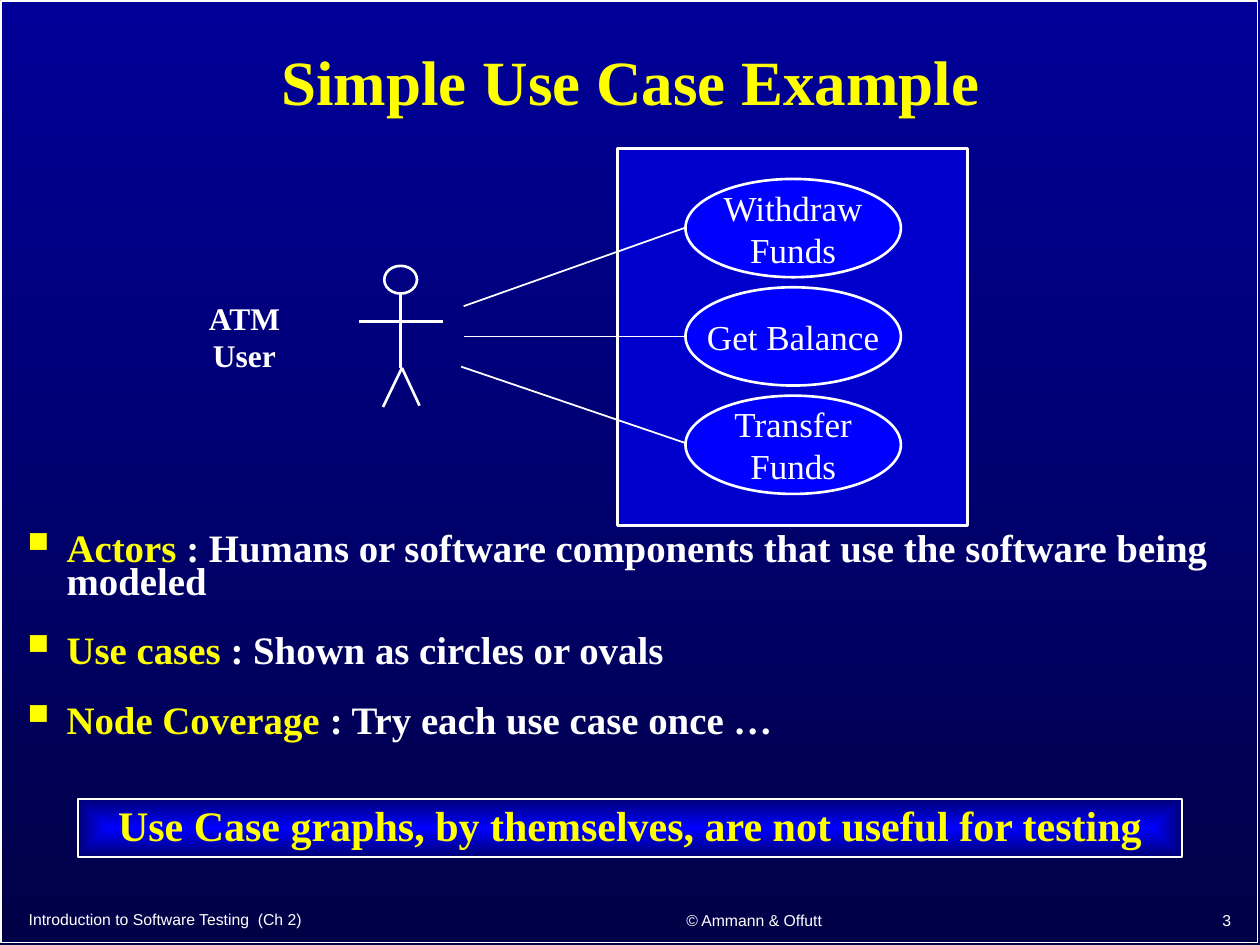
import pptx
import pptx.util
import pptx.dml.color
import pptx.enum.shapes
import pptx.enum.text
import pptx.oxml
import pptx.oxml.ns
import lxml.etree

Inches = pptx.util.Inches
Pt = pptx.util.Pt
SHAPE = pptx.enum.shapes.MSO_SHAPE
ALIGN = pptx.enum.text.PP_ALIGN
MIDDLE = pptx.enum.text.MSO_ANCHOR.MIDDLE
qn = pptx.oxml.ns.qn
WHITE, YELLOW = "FFFFFF", "FFFF00"
SERIF = "Times New Roman"


def color(value):
    return pptx.dml.color.RGBColor.from_string(value)


def add_run(paragraph, text, size, value, bold=False, font=SERIF):
    run = paragraph.add_run()
    run.text = text
    run.font.size = Pt(size)
    run.font.name = font
    run.font.bold = bold
    run.font.color.rgb = color(value)


deck = pptx.Presentation()
deck.slide_width = Inches(10)
deck.slide_height = Inches(7.5)
slide = deck.slides.add_slide(deck.slide_layouts[6])
shapes = slide.shapes

# Background, dark towards the bottom
backdrop = slide.background.fill
backdrop.gradient()
backdrop.gradient_angle = 270
for stop, value in zip(backdrop.gradient_stops, ("000099", "000047")):
    stop.color.rgb = color(value)
backdrop.gradient_stops[0].position = 0
backdrop.gradient_stops[1].position = 1

# Outlined shapes: slide frame, system boundary, actor's head, use cases, banner
outlined = []
for kind, left, top, width, height, fill, weight in [
    (SHAPE.RECTANGLE, 0.01, 0.01, 9.97, 7.47, None, 1),
    (SHAPE.RECTANGLE, 4.9, 1.18, 2.78, 2.99, "0000CC", 1.5),
    (SHAPE.OVAL, 3.05, 2.11, 0.26, 0.22, None, 1.5),
    *[(SHAPE.OVAL, 5.44, 1.42 + 0.86 * i, 1.71, 0.78, "0000FF", 1.5)
      for i in range(3)],
    (SHAPE.RECTANGLE, 0.62, 6.34, 8.76, 0.46, None, 1),
]:
    shape = shapes.add_shape(kind, Inches(left), Inches(top),
                             Inches(width), Inches(height))
    shape.shadow.inherit = False
    if fill:
        shape.fill.solid()
        shape.fill.fore_color.rgb = color(fill)
    else:
        shape.fill.background()
    shape.line.color.rgb = color(WHITE)
    shape.line.width = Pt(weight)
    outlined.append(shape)
use_cases = outlined[3:6]
banner = outlined[6]

# Use case names
for use_case, words in zip(use_cases, (["Withdraw", "Funds"], ["Get Balance"],
                                       ["Transfer", "Funds"])):
    frame = use_case.text_frame
    frame.word_wrap = False
    frame.vertical_anchor = MIDDLE
    frame.margin_top = frame.margin_bottom = 0
    for i, word in enumerate(words):
        paragraph = frame.add_paragraph() if i else frame.paragraphs[0]
        paragraph.alignment = ALIGN.CENTER
        add_run(paragraph, word, 20, WHITE)

# Actor's limbs, then the links to the use cases
for x1, y1, x2, y2, weight in [
    (2.85, 2.55, 3.52, 2.55, 1.5),
    (3.18, 2.33, 3.18, 2.92, 1.5),
    (3.19, 2.92, 3.04, 3.23, 1.5),
    (3.19, 2.92, 3.33, 3.22, 1.5),
    (5.43, 1.81, 3.68, 2.43, 1),
    (5.44, 2.67, 3.68, 2.67, 1),
    (5.45, 3.52, 3.66, 2.91, 1),
]:
    line = shapes.add_connector(pptx.enum.shapes.MSO_CONNECTOR.STRAIGHT,
                                Inches(x1), Inches(y1), Inches(x2), Inches(y2))
    line.line.color.rgb = color(WHITE)
    line.line.width = Pt(weight)
    lxml.etree.SubElement(line._element.spPr, qn("a:effectLst"))

# Title, actor's name and footer
for left, top, width, height, words, size, value, bold, font, align, wrap in [
    (0.12, 0.12, 9.77, 1.03, ["Simple Use Case Example"], 36, YELLOW, True,
     SERIF, ALIGN.CENTER, True),
    (1.55, 2.32, 0.78, 0.7, ["ATM", "User"], 18, WHITE, True,
     SERIF, ALIGN.CENTER, True),
    (0.13, 7.16, 4.13, 0.27, ["Introduction to Software Testing  (Ch 2)"], 9,
     WHITE, False, "Arial", ALIGN.LEFT, False),
    (4.4, 7.16, 3.17, 0.28, ["© Ammann & Offutt"], 9, WHITE, False,
     "Arial", ALIGN.CENTER, False),
    (7.79, 7.17, 2.08, 0.27, ["3"], 9, WHITE, False,
     "Arial", ALIGN.RIGHT, False),
]:
    label = shapes.add_textbox(Inches(left), Inches(top),
                               Inches(width), Inches(height))
    frame = label.text_frame
    frame.word_wrap = wrap
    frame.vertical_anchor = MIDDLE
    for i, word in enumerate(words):
        paragraph = frame.add_paragraph() if i else frame.paragraphs[0]
        paragraph.alignment = align
        add_run(paragraph, word, size, value, bold, font)

# Definitions
definitions = shapes.add_textbox(Inches(0.12), Inches(4.21),
                                 Inches(9.75), Inches(1.7)).text_frame
definitions.word_wrap = True
for i, (term, meaning) in enumerate([
    ("Actors", "Humans or software components that use the software being modeled"),
    ("Use cases", "Shown as circles or ovals"),
    ("Node Coverage", "Try each use case once …"),
]):
    paragraph = definitions.add_paragraph() if i else definitions.paragraphs[0]
    paragraph.line_spacing = 0.7
    paragraph.space_before = Pt(9 if i else 0)
    paragraph.space_after = Pt(12)
    properties = paragraph._p.get_or_add_pPr()
    properties.set("marL", str(Inches(0.31)))
    properties.set("indent", str(Inches(-0.31)))
    bullet_color = lxml.etree.SubElement(properties, qn("a:buClr"))
    lxml.etree.SubElement(bullet_color, qn("a:srgbClr"), val=YELLOW)
    lxml.etree.SubElement(properties, qn("a:buSzPct"), val="75000")
    lxml.etree.SubElement(properties, qn("a:buChar"), char="■")
    add_run(paragraph, term, 22.2, YELLOW, True)
    add_run(paragraph, " : " + meaning, 22.2, WHITE, True)

# Banner with a gradient spreading from its centre
banner.fill.gradient()
for stop, value in zip(banner.fill.gradient_stops, ("0000FF", "000076")):
    stop.color.rgb = color(value)
banner.fill.gradient_stops[0].position = 0
banner.fill.gradient_stops[1].position = 1
gradient = banner._element.spPr.find(qn("a:gradFill"))
gradient.remove(gradient.find(qn("a:lin")))
spread = lxml.etree.Element(qn("a:path"))
spread.set("path", "rect")
lxml.etree.SubElement(spread, qn("a:fillToRect"),
                      l="50000", t="50000", r="50000", b="50000")
gradient.find(qn("a:gsLst")).addnext(spread)
banner.text_frame.word_wrap = True
banner.text_frame.vertical_anchor = MIDDLE
message = banner.text_frame.paragraphs[0]
message.alignment = ALIGN.CENTER
message.line_spacing = 0.9
add_run(message, "Use Case graphs, by themselves, are not useful for testing",
        24, YELLOW, True)

deck.save("out.pptx")
